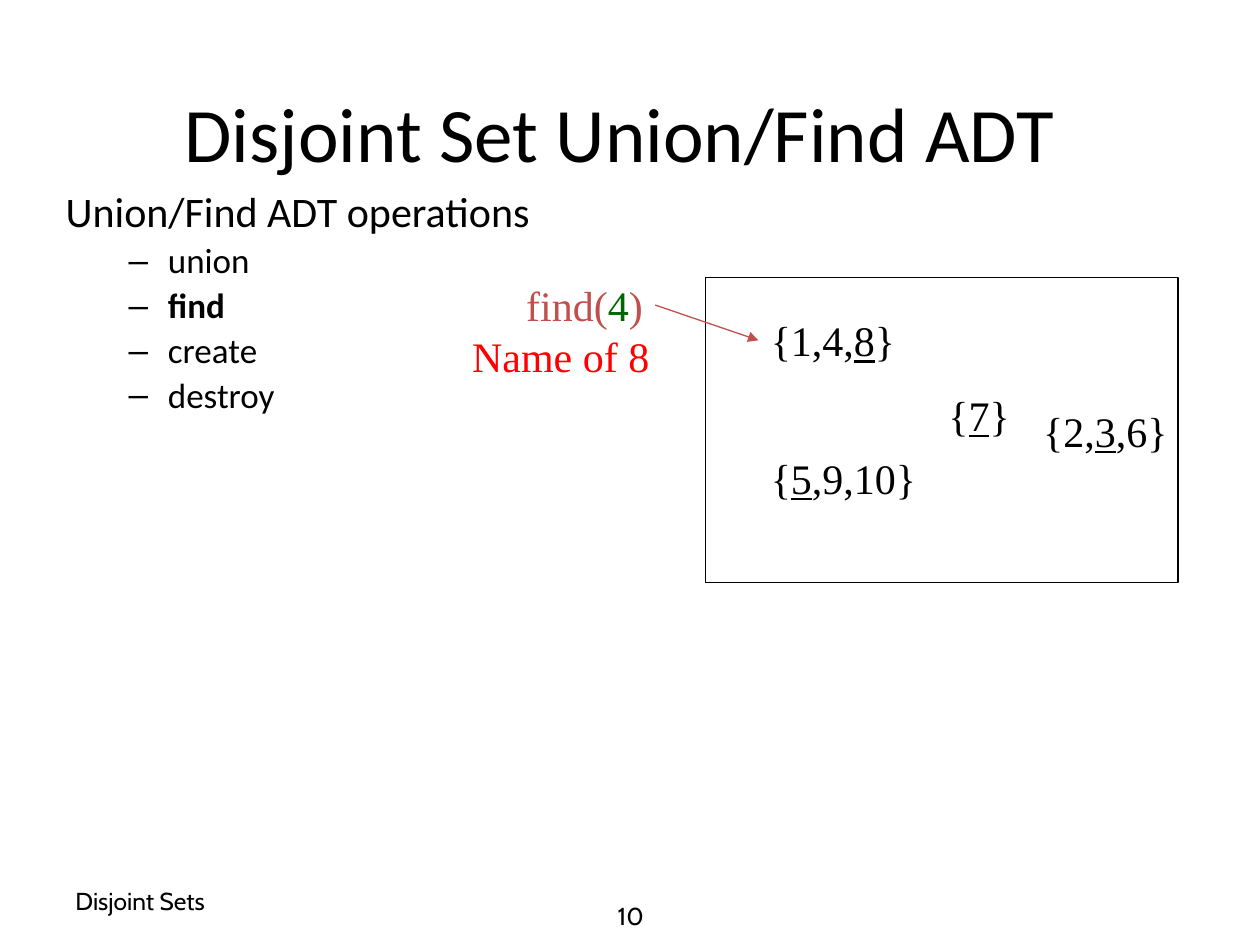
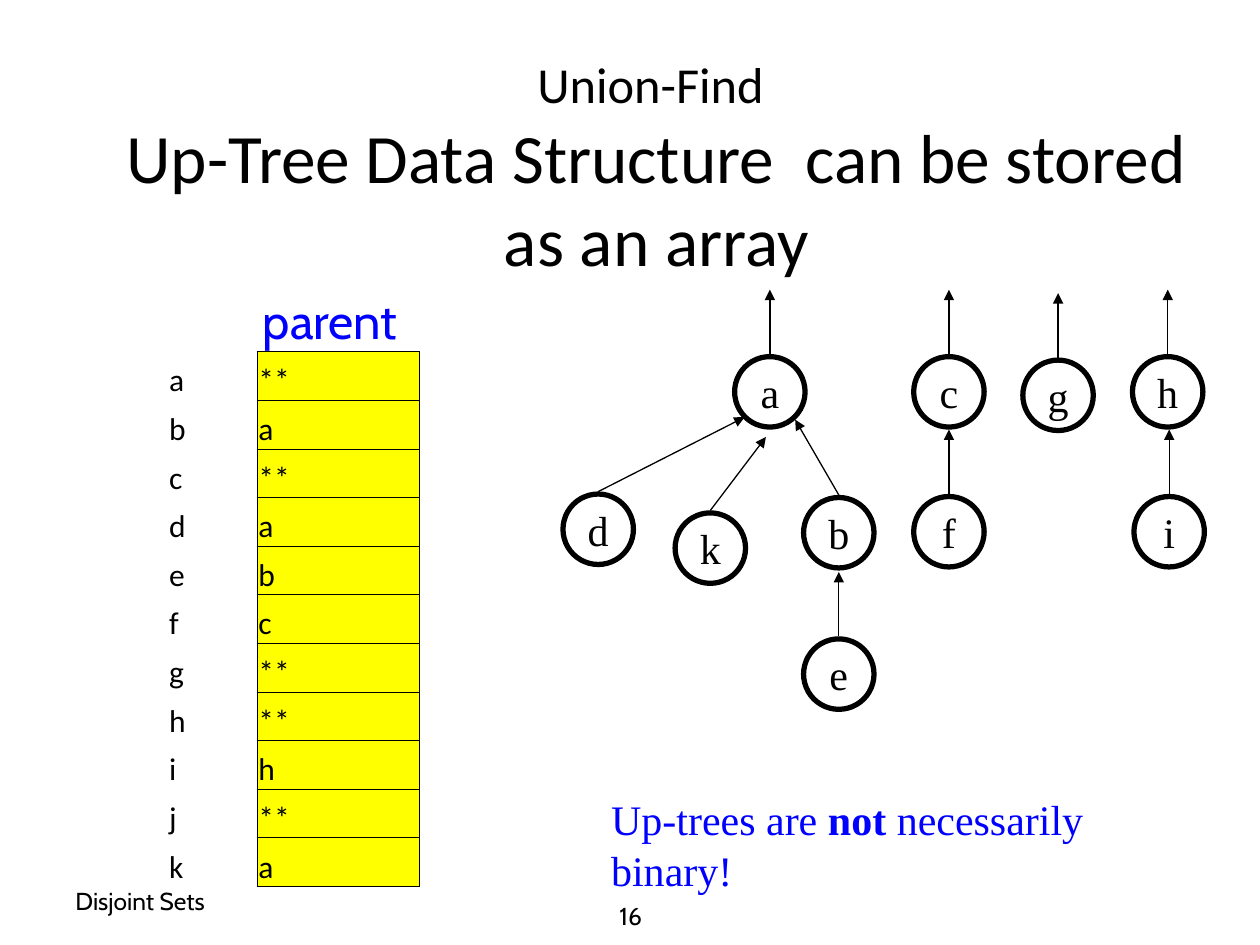
from copy import deepcopy
from dataclasses import dataclass, field
from typing import NamedTuple, Optional

from pptx import Presentation
from pptx.dml.color import RGBColor
from pptx.enum.shapes import MSO_CONNECTOR, MSO_SHAPE
from pptx.enum.text import MSO_ANCHOR, MSO_AUTO_SIZE, PP_ALIGN
from pptx.oxml.ns import qn
from pptx.util import Cm, Pt
from lxml.etree import SubElement

BLACK = RGBColor(0x00, 0x00, 0x00)
RED = RGBColor(0xFF, 0x00, 0x00)
BRICK = RGBColor(0xC0, 0x50, 0x4D)
GREEN = RGBColor(0x00, 0x66, 0x00)
BLUE = RGBColor(0x00, 0x00, 0xFF)
YELLOW = RGBColor(0xFF, 0xFF, 0x00)

TITLE = {"name": "Calibri", "size": Pt(44), "color": BLACK}
BODY = {**TITLE, "size": Pt(24)}
ITEM = {**TITLE, "size": Pt(20)}
CELL = {**TITLE, "size": Pt(18)}
FOOTER = {"name": "Cabin", "size": Pt(14), "color": BLACK}
HEADING = {"name": "Cabin", "size": Pt(28), "color": BLUE}
SERIF = {"name": "Times New Roman", "size": Pt(24), "color": BLACK}
NAMED = {**SERIF, "underline": True}
CALL = {**SERIF, "color": BRICK}
REMARK = {**SERIF, "color": BLUE}

NO_TABLE_STYLE = "{2D5ABB26-0587-4C30-8999-92F81FD0307C}"
NODE_SIZE = 1.42
ARROW_GAP = 0.05
ARROW_RISE = 1.3
ROW_HEIGHT = 0.98


class Run(NamedTuple):
    text: str
    fmt: dict


class Box(NamedTuple):
    """Left, top, width and height in centimetres."""
    left: float
    top: float
    width: float
    height: float = 1.27

    def lengths(self) -> list:
        return [Cm(v) for v in self]


@dataclass
class Label:
    box: Box
    runs: list = field(default_factory=list)
    align: PP_ALIGN = PP_ALIGN.LEFT
    anchor: MSO_ANCHOR = MSO_ANCHOR.TOP
    wrap: bool = False


class Node(NamedTuple):
    """A tree node; its arrow goes straight up unless a tip is given."""
    name: str
    left: float
    top: float
    tip: Optional[tuple] = None


SETS = [
    Label(Box(15.29, 6.22, 3.02), [Run("{1,4,", SERIF), Run("8", NAMED), Run("}", SERIF)]),
    Label(Box(18.87, 7.72, 1.75), [Run("{", SERIF), Run("7", NAMED), Run("}", SERIF)]),
    Label(Box(15.29, 8.99, 3.43), [Run("{", SERIF), Run("5", NAMED), Run(",9,10}", SERIF)]),
    Label(Box(20.78, 8.05, 3.02), [Run("{2,", SERIF), Run("3", NAMED), Run(",6}", SERIF)]),
]
FIND_CALL = [
    Label(Box(10.34, 5.51, 2.87),
          [Run("find(", CALL), Run("4", {**SERIF, "color": GREEN}), Run(")", CALL)],
          PP_ALIGN.RIGHT),
    Label(Box(8.84, 6.53, 4.5), [Run("Name of 8", {**SERIF, "color": RED})],
          PP_ALIGN.RIGHT, wrap=True),
]
UP_TREE_LABELS = [
    Label(Box(12.07, 15.88, 12.67),
          [Run("Up-trees are ", REMARK), Run("not", {**REMARK, "bold": True}),
           Run(" necessarily binary!", REMARK)]),
    Label(Box(5.05, 5.74, 5.36, 1.45), [Run("parent", HEADING)], wrap=True),
]
NODES = [
    Node("a", 14.81, 7.19),
    Node("c", 18.42, 7.19),
    Node("g", 20.62, 7.26),
    Node("h", 22.83, 7.19),
    Node("d", 11.35, 9.96, (15.01, 8.41)),
    Node("k", 13.61, 10.34, (15.44, 8.81)),
    Node("b", 16.2, 10.03, (16.03, 8.46)),
    Node("e", 16.2, 12.88),
    Node("f", 18.42, 10.01),
    Node("i", 22.86, 10.01),
]
PARENTS = {"a": "**", "b": "a", "c": "**", "d": "a", "e": "b", "f": "c",
           "g": "**", "h": "**", "i": "h", "j": "**", "k": "a"}


def add_run(p, run: Run):
    r = p.add_run()
    r.text = run.text
    for name, value in run.fmt.items():
        if name == "color":
            r.font.color.rgb = value
        else:
            setattr(r.font, name, value)
    return r


def place(shape, box: Box) -> None:
    for name, value in zip(("left", "top", "width", "height"), box.lengths()):
        setattr(shape, name, value)


def add_label(s, label: Label) -> None:
    tf = s.shapes.add_textbox(*label.box.lengths()).text_frame
    tf.word_wrap = label.wrap
    tf.vertical_anchor = label.anchor
    p = tf.paragraphs[0]
    p.alignment = label.align
    for run in label.runs:
        add_run(p, run)


def add_arrow(s, start: tuple, end: tuple, color: RGBColor = BLACK) -> None:
    line = s.shapes.add_connector(MSO_CONNECTOR.STRAIGHT, *[Cm(v) for v in start + end])
    line.line.color.rgb = color
    line.line.width = Pt(0.75)
    SubElement(line.line._get_or_add_ln(), qn("a:tailEnd"), type="triangle")
    SubElement(line._element.spPr, qn("a:effectLst"))


def add_outline(s, kind: MSO_SHAPE, box: Box, width: float):
    """Add an unfilled shape with a black line."""
    sp = s.shapes.add_shape(kind, *box.lengths())
    sp.shadow.inherit = False
    sp.fill.background()
    sp.line.color.rgb = BLACK
    sp.line.width = Pt(width)
    return sp


def add_slide(prs, layout: int, title_box: Box, title_lines: list, number: int):
    """Add a slide with its title, footer and page number."""
    s = prs.slides.add_slide(prs.slide_layouts[layout])
    place(s.shapes.title, title_box)
    tf = s.shapes.title.text_frame
    tf.auto_size = MSO_AUTO_SIZE.NONE
    tf.vertical_anchor = MSO_ANCHOR.MIDDLE
    p = tf.paragraphs[0]
    p.alignment = PP_ALIGN.CENTER
    for i, line in enumerate(title_lines):
        if i:
            p.add_line_break()
            p._p[-1].append(deepcopy(r._r.rPr))
        r = add_run(p, line)
    add_label(s, Label(Box(1.27, 17.65, 5.92, 1.02), [Run("Disjoint Sets", FOOTER)],
                       anchor=MSO_ANCHOR.MIDDLE, wrap=True))
    add_label(s, Label(Box(8.69, 17.95, 8.05, 1.02), [Run(str(number), FOOTER)],
                       PP_ALIGN.CENTER, MSO_ANCHOR.MIDDLE, True))
    return s


def fill_operations(body) -> None:
    place(body, Box(1.07, 3.73, 22.86, 12.57))
    tf = body.text_frame
    tf.auto_size = MSO_AUTO_SIZE.NONE
    heading = tf.paragraphs[0]
    pPr = heading._p.get_or_add_pPr()
    pPr.set("marL", "0")
    pPr.set("indent", "0")
    heading.line_spacing = 0.9
    heading.space_before = Pt(0)
    SubElement(pPr, qn("a:buNone"))
    add_run(heading, Run("Union/Find ADT operations", BODY))
    for name in ("union", "find", "create", "destroy"):
        p = tf.add_paragraph()
        p.level = 1
        p.line_spacing = 0.9
        p.space_before = Pt(4)
        pPr = p._p.get_or_add_pPr()
        pPr.set("marL", str(Cm(2.06)))
        pPr.set("indent", str(Cm(-0.79)))
        SubElement(pPr, qn("a:buChar"), char="–")
        add_run(p, Run(name, {**ITEM, "bold": name == "find"}))


def add_node(s, node: Node) -> None:
    box = Box(node.left, node.top, NODE_SIZE, NODE_SIZE)
    tf = add_outline(s, MSO_SHAPE.OVAL, box, 3).text_frame
    tf.word_wrap = False
    tf.vertical_anchor = MSO_ANCHOR.MIDDLE
    p = tf.paragraphs[0]
    p.alignment = PP_ALIGN.CENTER
    add_run(p, Run(node.name, SERIF))
    x, y = node.left + NODE_SIZE / 2, node.top - ARROW_GAP
    add_arrow(s, (x, y), node.tip or (x, y - ARROW_RISE))


def add_border(cell) -> None:
    tcPr = cell._tc.get_or_add_tcPr()
    for i, side in enumerate(("lnL", "lnR", "lnT", "lnB")):
        ln = tcPr.makeelement(qn(f"a:{side}"), {"w": str(Pt(0.5))})
        fill = SubElement(ln, qn("a:solidFill"))
        SubElement(fill, qn("a:srgbClr"), val=str(BLACK))
        tcPr.insert(i, ln)


def add_parent_table(s) -> None:
    box = Box(3.38, 7.09, 5.08, ROW_HEIGHT * len(PARENTS))
    table = s.shapes.add_table(len(PARENTS), 2, *box.lengths()).table
    table.first_row = table.horz_banding = False
    table._tbl.tblPr.find(qn("a:tableStyleId")).text = NO_TABLE_STYLE
    for column, width in zip(table.columns, (1.8, 3.28)):
        column.width = Cm(width)
    for i, pair in enumerate(PARENTS.items()):
        table.rows[i].height = Cm(ROW_HEIGHT)
        for j, text in enumerate(pair):
            cell = table.cell(i, j)
            cell.vertical_anchor = MSO_ANCHOR.BOTTOM
            cell.margin_left = cell.margin_right = cell.margin_top = Cm(0.03)
            cell.margin_bottom = Cm(0)
            add_run(cell.text_frame.paragraphs[0], Run(text, CELL))
            if j == 0:
                cell.fill.background()
            else:
                cell.fill.solid()
                cell.fill.fore_color.rgb = YELLOW
                add_border(cell)


def build_find_slide(prs) -> None:
    s = add_slide(prs, 1, Box(1.7, 1.07, 21.59, 3.18),
                  [Run("Disjoint Set Union/Find ADT", TITLE)], 10)
    fill_operations(s.placeholders[1])
    add_outline(s, MSO_SHAPE.RECTANGLE, Box(14.22, 5.59, 9.53, 6.15), 0.75)
    for label in SETS + FIND_CALL:
        add_label(s, label)
    add_arrow(s, (13.21, 6.15), (15.29, 6.86), BRICK)


def build_up_tree_slide(prs) -> None:
    s = add_slide(prs, 5, Box(1.7, 0.84, 23.06, 5.05),
                  [Run("Union-Find ", {**TITLE, "size": Pt(28.8)}),
                   Run("Up-Tree Data Structure  can be stored as an array",
                       {**TITLE, "size": Pt(39.6)})], 16)
    for node in NODES:
        add_node(s, node)
    add_parent_table(s)
    for label in UP_TREE_LABELS:
        add_label(s, label)


def main() -> None:
    prs = Presentation()
    prs.slide_width, prs.slide_height = Cm(25.4), Cm(19.05)
    build_find_slide(prs)
    build_up_tree_slide(prs)
    prs.save("out.pptx")


if __name__ == "__main__":
    main()
